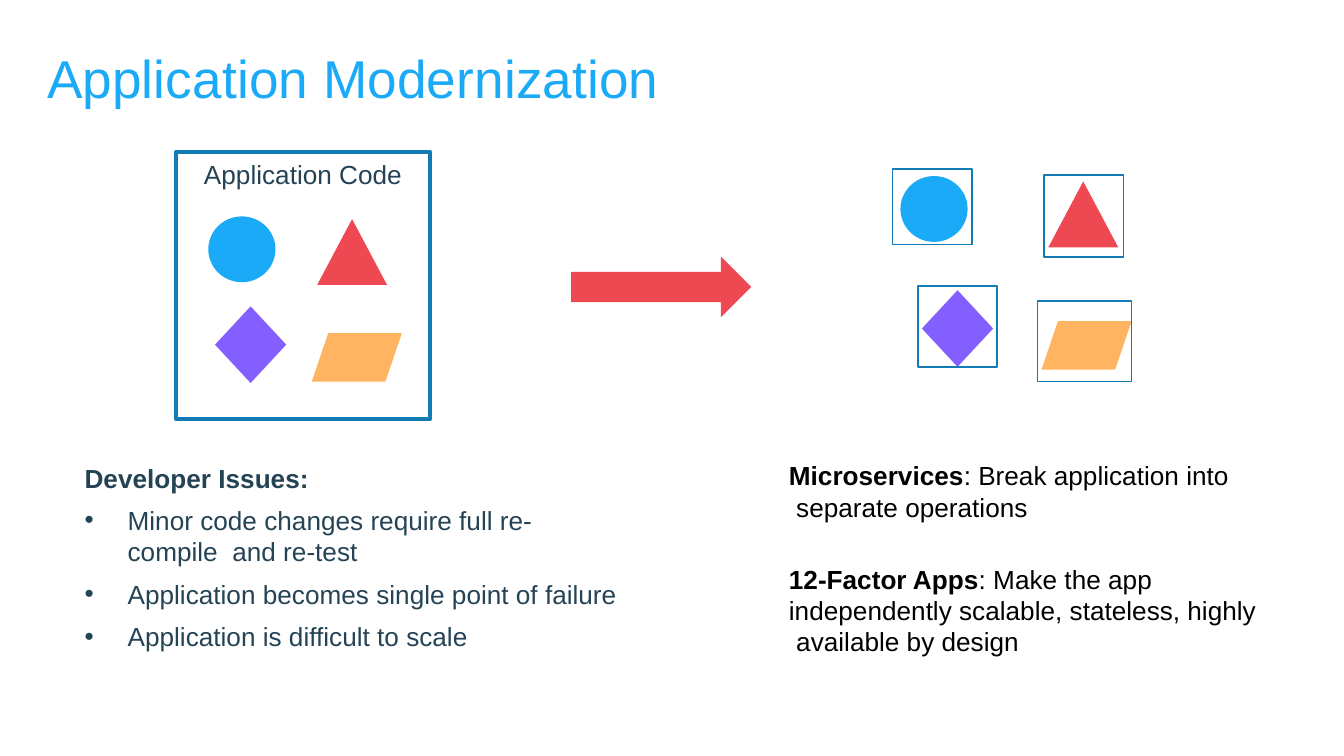
from pptx import Presentation
from pptx.dml.color import RGBColor
from pptx.enum.shapes import MSO_SHAPE as Shape
from pptx.enum.text import MSO_ANCHOR as Anchor, PP_ALIGN as Align
from pptx.oxml.ns import qn
from pptx.util import Inches, Pt
from lxml.etree import SubElement

BLUE = RGBColor(0x1A, 0xAA, 0xF8)
RED = RGBColor(0xEE, 0x49, 0x52)
PURPLE = RGBColor(0x84, 0x5F, 0xFF)
ORANGE = RGBColor(0xFF, 0xB4, 0x62)
OUTLINE = RGBColor(0x12, 0x7B, 0xB4)
SLATE = RGBColor(0x24, 0x43, 0x55)
BLACK = RGBColor(0, 0, 0)

# Each module: preset, colour, width, height
CIRCLE = (Shape.OVAL, BLUE, 0.5, 0.49)
TRIANGLE = (Shape.ISOSCELES_TRIANGLE, RED, 0.52, 0.49)
DIAMOND = (Shape.DIAMOND, PURPLE, 0.53, 0.57)
PARALLELOGRAM = (Shape.PARALLELOGRAM, ORANGE, 0.67, 0.36)

# Module positions inside the monolith
MONOLITH = [
    (CIRCLE, 1.55, 1.61),
    (TRIANGLE, 2.36, 1.63),
    (DIAMOND, 1.6, 2.28),
    (PARALLELOGRAM, 2.32, 2.48),
]
# Module positions as services, each with its own frame
SERVICES = [
    (CIRCLE, 6.7, 1.31, (6.64, 1.26, 0.59, 0.56)),
    (TRIANGLE, 7.8, 1.35, (7.77, 1.3, 0.59, 0.61)),
    (DIAMOND, 6.86, 2.16, (6.83, 2.13, 0.59, 0.6)),
    (PARALLELOGRAM, 7.75, 2.39, (7.72, 2.24, 0.7, 0.6)),
]
ISSUES = [
    "Minor code changes require full re-compile  and re-test",
    "Application becomes single point of failure",
    "Application is difficult to scale",
]
# Top, width, height, term and meaning
BENEFITS = [
    (3.41, 3.28, 0.5, "Microservices",
     ": Break application into  separate operations"),
    (4.18, 3.49, 0.73, "12-Factor Apps",
     ": Make the app  independently scalable, stateless, highly  available by design"),
]


def place(shape, left, top, width, height):
    shape.left, shape.top = Inches(left), Inches(top)
    shape.width, shape.height = Inches(width), Inches(height)


def set_frame(shape, top_inset=0.01):
    frame = shape.text_frame
    frame.word_wrap = True
    frame.vertical_anchor = Anchor.TOP
    frame.margin_left = frame.margin_right = frame.margin_bottom = 0
    frame.margin_top = Inches(top_inset)
    return frame


def add_run(paragraph, text, color, size=14, bold=False):
    run = paragraph.add_run()
    run.text = text
    run.font.name = "Arial"
    run.font.size = Pt(size)
    run.font.bold = bold
    run.font.color.rgb = color
    return run


def add_bullet(paragraph, indent=0.32):
    props = paragraph._p.get_or_add_pPr()
    props.set("marL", str(Inches(indent)))
    props.set("indent", str(-Inches(indent)))
    SubElement(props, qn("a:buFont"), typeface="Arial")
    SubElement(props, qn("a:buChar"), char="•")


def add_text(slide, box, pieces, color):
    """Add one paragraph made of (text, bold) pieces."""
    frame = set_frame(slide.shapes.add_textbox(*map(Inches, box)))
    paragraph = frame.paragraphs[0]
    paragraph.space_before = Pt(1)
    for text, bold in pieces:
        add_run(paragraph, text, color, bold=bold)


def add_issues(slide):
    frame = set_frame(slide.shapes.add_textbox(*map(Inches, (0.63, 3.74, 4.0, 1.13))))
    for number, issue in enumerate(ISSUES):
        paragraph = frame.add_paragraph() if number else frame.paragraphs[0]
        paragraph.space_before = Pt(6 if number else 1)
        add_bullet(paragraph)
        add_run(paragraph, issue, SLATE)


def add_solid(slide, preset, color, left, top, width, height):
    solid = slide.shapes.add_shape(preset, *map(Inches, (left, top, width, height)))
    solid.shadow.inherit = False
    solid.fill.solid()
    solid.fill.fore_color.rgb = color
    solid.line.fill.background()
    return solid


def add_module(slide, module, left, top):
    preset, color, width, height = module
    solid = add_solid(slide, preset, color, left, top, width, height)
    if preset == Shape.PARALLELOGRAM:
        solid.adjustments[0] = 0.34


def add_outline(slide, box, weight):
    outline = slide.shapes.add_shape(Shape.RECTANGLE, *map(Inches, box))
    outline.shadow.inherit = False
    outline.fill.background()
    outline.line.color.rgb = OUTLINE
    outline.line.width = Pt(weight)
    return outline


def add_title(slide):
    title = slide.shapes.title
    place(title, 0.35, 0.32, 4.6, 0.51)
    paragraph = set_frame(title, 0.02).paragraphs[0]
    paragraph.alignment = Align.LEFT
    run = add_run(paragraph, "Application Modernization", BLUE, size=28.5)
    run.font._element.set("spc", "10")


def add_monolith(slide):
    code = add_outline(slide, (1.31, 1.13, 1.89, 1.99), 2.04)
    paragraph = set_frame(code, 0.05).paragraphs[0]
    paragraph.alignment = Align.CENTER
    paragraph.space_before = Pt(3)
    add_run(paragraph, "Application Code", SLATE)
    for module, left, top in MONOLITH:
        add_module(slide, module, left, top)


def add_services(slide):
    for module, left, top, _ in SERVICES:
        add_module(slide, module, left, top)
    for *_, frame in SERVICES:
        add_outline(slide, frame, 0.96)


def main():
    deck = Presentation()
    deck.slide_width = Inches(10)
    deck.slide_height = deck.slide_width * 9 // 16
    slide = deck.slides.add_slide(deck.slide_layouts[5])

    # Diagram: one code base split into services
    add_title(slide)
    add_monolith(slide)
    add_solid(slide, Shape.RIGHT_ARROW, RED, 4.25, 1.91, 1.34, 0.45)
    add_services(slide)

    # Explanations under each side
    add_text(slide, (0.63, 3.43, 1.7, 0.26), [("Developer Issues:", True)], SLATE)
    add_issues(slide)
    for top, width, height, term, meaning in BENEFITS:
        add_text(slide, (5.87, top, width, height),
                 [(term, True), (meaning, False)], BLACK)

    deck.save("out.pptx")


if __name__ == "__main__":
    main()
